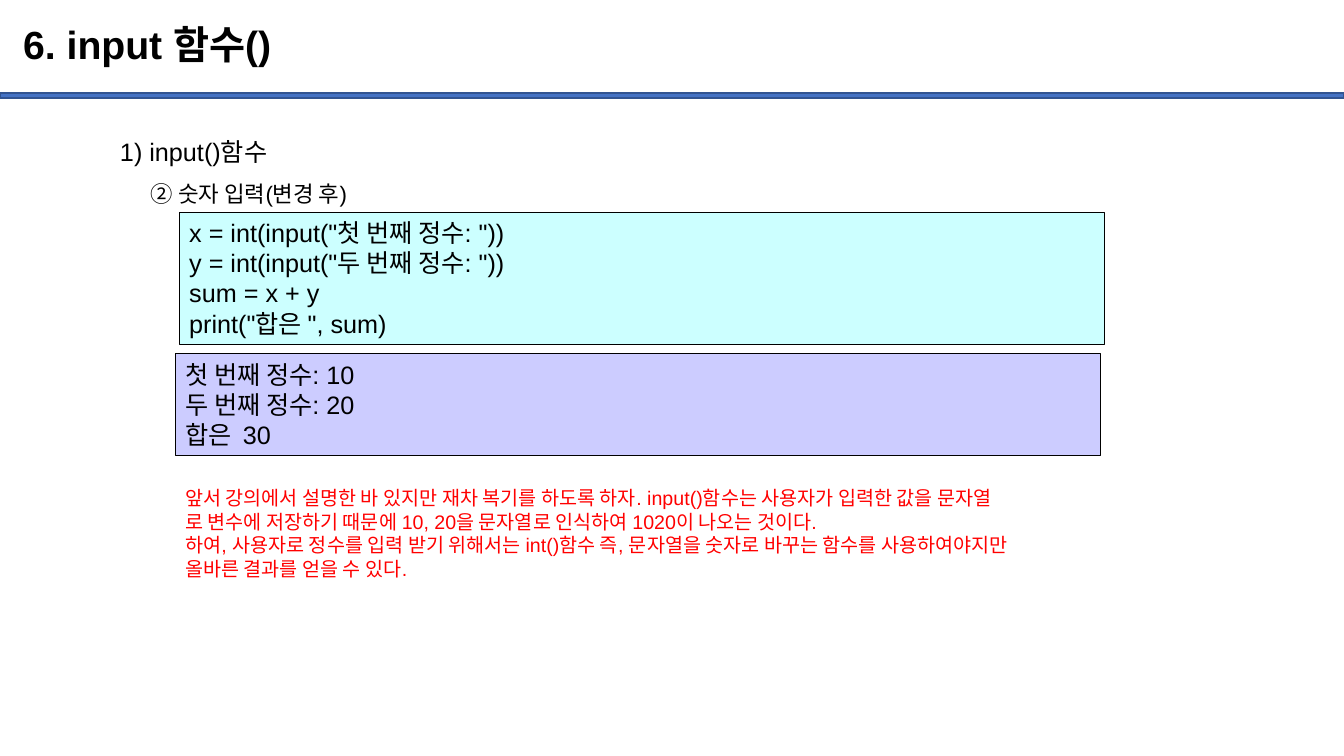
from pptx import Presentation
from pptx.dml.color import RGBColor
from pptx.enum.shapes import MSO_SHAPE
from pptx.enum.text import MSO_ANCHOR, MSO_AUTO_SIZE, PP_ALIGN
from pptx.oxml.ns import qn
from pptx.util import Cm, Pt

FONT = "Arial"


def color(code):
    return RGBColor.from_string(code)


def place(shape, left, top, width, height):
    shape.left, shape.top = Cm(left), Cm(top)
    shape.width, shape.height = Cm(width), Cm(height)


def write(shape, lines, size=18, ink="000000", bold=False, space=1.0,
          anchor=MSO_ANCHOR.TOP):
    frame = shape.text_frame
    frame.word_wrap = True
    frame.auto_size = MSO_AUTO_SIZE.NONE
    frame.vertical_anchor = anchor
    frame.text = "\n".join(lines)
    for para in frame.paragraphs:
        para.alignment = PP_ALIGN.LEFT
        para.line_spacing = space
        para.space_before = Pt(0)
        for run in para.runs:
            font = run.font
            font.name, font.size, font.bold = FONT, Pt(size), bold
            font.color.rgb = color(ink)


def plain(para, indent):
    props = para._p.get_or_add_pPr()
    props.set("marL", str(Cm(indent)))
    props.set("indent", "0")
    props.append(props.makeelement(qn("a:buNone"), {}))


def box(slide, area, fill, line, weight):
    shape = slide.shapes.add_shape(MSO_SHAPE.RECTANGLE, *map(Cm, area))
    shape.shadow.inherit = False
    shape.fill.solid()
    shape.fill.fore_color.rgb = color(fill)
    shape.line.color.rgb = color(line)
    shape.line.width = Pt(weight)
    return shape


def panel(slide, area, fill, lines):
    write(box(slide, area, fill, "000000", 0.75), lines)


def outline(body):
    write(body, ["1) input()함수", "② 숫자 입력(변경 후)"], space=1.5)
    head, item = body.text_frame.paragraphs
    plain(head, 0)
    plain(item, 0.78)
    item.runs[0].font.size = Pt(16)


def note(slide, area, lines):
    write(slide.shapes.add_textbox(*map(Cm, area)), lines,
          size=14, ink="FF0000")


def main():
    deck = Presentation()
    deck.slide_width, deck.slide_height = Cm(33.87), Cm(19.05)
    slide = deck.slides.add_slide(deck.slide_layouts[1])
    title, body = slide.placeholders

    box(slide, (0, 2.34, 33.87, 0.13), "4472C4", "325491", 1)
    place(title, 0.33, 0.25, 29.21, 1.88)
    write(title, ["6. input 함수()"], size=28, bold=True, space=0.9,
          anchor=MSO_ANCHOR.MIDDLE)
    place(body, 2.77, 2.92, 29.77, 2.31)
    outline(body)

    panel(slide, (4.52, 5.35, 23.32, 3.33), "CCFFFF", [
        'x = int(input("첫 번째 정수: "))',
        'y = int(input("두 번째 정수: "))',
        "sum = x + y",
        'print("합은 ", sum)',
    ])
    panel(slide, (4.42, 8.92, 23.32, 2.57), "CCCCFF", [
        "첫 번째 정수: 10",
        "두 번째 정수: 20",
        "합은  30",
    ])
    note(slide, (4.42, 12.12, 23.72, 2.64), [
        "앞서 강의에서 설명한 바 있지만 재차 복기를 하도록 하자. "
        "input()함수는 사용자가 입력한 값을 문자열",
        "로 변수에 저장하기 때문에 10, 20을 문자열로 인식하여 "
        "1020이 나오는 것이다.",
        "하여, 사용자로 정수를 입력 받기 위해서는 int()함수 즉, "
        "문자열을 숫자로 바꾸는 함수를 사용하여야지만",
        "올바른 결과를 얻을 수 있다.",
    ])
    deck.save("out.pptx")


if __name__ == "__main__":
    main()
